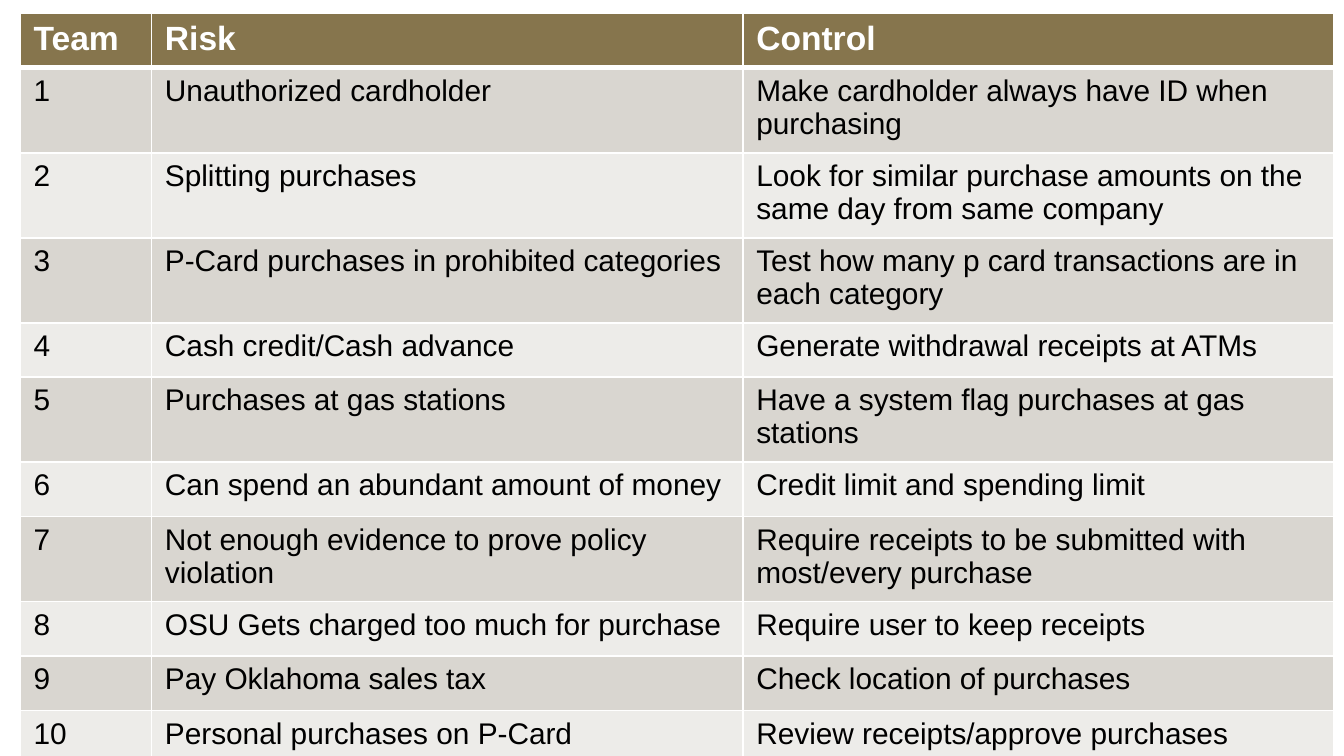
import pptx
import pptx.util
import pptx.dml.color
import pptx.oxml
import pptx.oxml.ns

Pt = pptx.util.Pt
RGB = pptx.dml.color.RGBColor
WHITE = RGB(0xFF, 0xFF, 0xFF)
BLACK = RGB(0x00, 0x00, 0x00)
GOLD = RGB(0x86, 0x75, 0x4D)
DARK = RGB(0xD9, 0xD6, 0xD0)
LIGHT = RGB(0xED, 0xEC, 0xE9)

SHORT, TALL = 29.2, 45.5
LIMIT = 40

HEADS = ("Team", "Risk", "Control")
RISKS = [
    ("Unauthorized cardholder", "Make cardholder always have ID when purchasing"),
    ("Splitting purchases",
     "Look for similar purchase amounts on the same day from same company"),
    ("P-Card purchases in prohibited categories",
     "Test how many p card transactions are in each category"),
    ("Cash credit/Cash advance", "Generate withdrawal receipts at ATMs"),
    ("Purchases at gas stations", "Have a system flag purchases at gas stations"),
    ("Can spend an abundant amount of money", "Credit limit and spending limit"),
    ("Not enough evidence to prove policy violation",
     "Require receipts to be submitted with most/every purchase"),
    ("OSU Gets charged too much for purchase", "Require user to keep receipts"),
    ("Pay Oklahoma sales tax", "Check location of purchases"),
    ("Personal purchases on P-Card", "Review receipts/approve purchases"),
]


def add_edge(cell, side, width):
    props = cell._tc.get_or_add_tcPr()
    props.append(pptx.oxml.parse_xml(
        f'<a:ln{side} {pptx.oxml.ns.nsdecls("a")} w="{Pt(width)}">'
        f'<a:solidFill><a:srgbClr val="{WHITE}"/></a:solidFill></a:ln{side}>'))


def style_cell(cell, text, row):
    head = row == 0
    edges = {"L": 1, "R": 1, "T": 3 if row == 1 else 1, "B": 3 if head else 1}
    for side, width in edges.items():
        add_edge(cell, side, width)
    cell.fill.solid()
    cell.fill.fore_color.rgb = GOLD if head else DARK if row % 2 else LIGHT
    cell.text = text
    font = cell.text_frame.paragraphs[0].font
    font.name = "Arial"
    font.size = Pt(18 if head else 16)
    font.bold = head
    font.color.rgb = WHITE if head else BLACK


def add_risks(slide, left, top, width):
    rows = [HEADS] + [(str(team), *pair) for team, pair in enumerate(RISKS, 1)]
    sizes = [TALL if max(map(len, texts)) > LIMIT else SHORT for texts in rows]
    table = slide.shapes.add_table(
        len(rows), len(HEADS), Pt(left), Pt(top), Pt(width), Pt(sum(sizes))).table
    for col, share in zip(table.columns, (0.1, 0.45, 0.45)):
        col.width = Pt(width * share)
    for r, texts in enumerate(rows):
        table.rows[r].height = Pt(sizes[r])
        for c, text in enumerate(texts):
            style_cell(table.cell(r, c), text, r)


def main():
    deck = pptx.Presentation()
    deck.slide_width, deck.slide_height = Pt(720), Pt(405)
    slide = deck.slides.add_slide(deck.slide_layouts[6])
    add_risks(slide, 10.8, 7.2, 704)
    deck.save("out.pptx")


if __name__ == "__main__":
    main()
